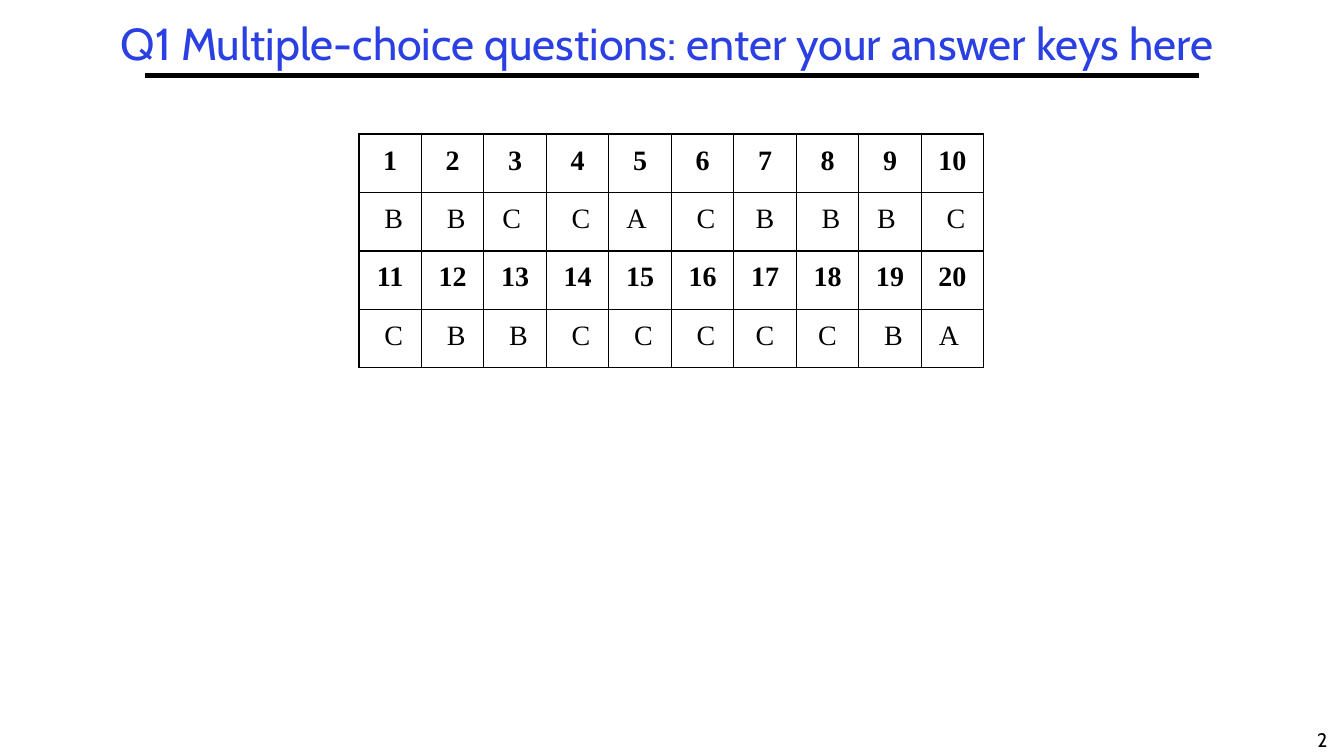
from dataclasses import dataclass

from lxml import etree
from pptx import Presentation
from pptx import util as u
from pptx.dml.color import RGBColor
from pptx.enum import shapes, text
from pptx.oxml import ns

BLACK, BLUE = "000000", "2A40E2"
COL_W, ROW_H = 0.62, 0.58
NBSP = chr(160)


@dataclass
class Label:
    words: str
    left: float
    top: float
    width: float
    height: float
    size: float
    color: str
    anchor: text.MSO_ANCHOR
    wrap: bool
    spacing: float


@dataclass
class AnswerRow:
    entries: list[str]
    bold: bool


def rgb(value: str) -> RGBColor:
    return RGBColor.from_string(value)


def add_run(p, words: str, size: float, font: str, color: str, bold: bool = False) -> None:
    p.alignment = text.PP_ALIGN.CENTER
    r = p.add_run()
    r.text = words
    r.font.size = u.Pt(size)
    r.font.name = font
    r.font.bold = bold
    r.font.color.rgb = rgb(color)


def add_label(s, label: Label) -> None:
    box = s.shapes.add_textbox(u.Inches(label.left), u.Inches(label.top),
                               u.Inches(label.width), u.Inches(label.height))
    tf = box.text_frame
    tf.word_wrap = label.wrap
    tf.vertical_anchor = label.anchor
    p = tf.paragraphs[0]
    p.line_spacing = label.spacing
    add_run(p, label.words, label.size, "Cabin", label.color)


def add_rule(s, x1: float, x2: float, y: float) -> None:
    line = s.shapes.add_connector(shapes.MSO_CONNECTOR.STRAIGHT, u.Inches(x1), u.Inches(y),
                                  u.Inches(x2), u.Inches(y))
    line.line.color.rgb = rgb(BLACK)
    line.line.width = u.Pt(3)
    etree.SubElement(line._element.spPr, ns.qn("a:effectLst"))


def add_borders(cell, color: str, width: float) -> None:
    tc_pr = cell._tc.get_or_add_tcPr()
    for i, side in enumerate(("lnL", "lnR", "lnT", "lnB")):
        ln = etree.Element(ns.qn(f"a:{side}"), w=str(u.Pt(width)))
        fill = etree.SubElement(ln, ns.qn("a:solidFill"))
        etree.SubElement(fill, ns.qn("a:srgbClr"), val=color)
        tc_pr.insert(i, ln)


def fill_cell(cell, words: str, bold: bool) -> None:
    cell.fill.background()
    cell.margin_left = cell.margin_right = u.Inches(0.07)
    cell.margin_top = cell.margin_bottom = 0
    p = cell.text_frame.paragraphs[0]
    p.line_spacing = u.Pt(30)
    p.space_after = u.Pt(3.6)
    add_run(p, words, 20, "Times New Roman", BLACK, bold)
    add_borders(cell, BLACK, 1)


def add_answers(s, rows: list[AnswerRow], left: float, top: float) -> None:
    n_cols = len(rows[0].entries)
    table = s.shapes.add_table(len(rows), n_cols, u.Inches(left), u.Inches(top),
                               u.Inches(n_cols * COL_W), u.Inches(len(rows) * ROW_H)).table
    table.first_row = table.horz_banding = False
    for col in table.columns:
        col.width = u.Inches(COL_W)
    for i, row in enumerate(rows):
        table.rows[i].height = u.Inches(ROW_H)
        for j, entry in enumerate(row.entries):
            fill_cell(table.cell(i, j), entry, row.bold)


def numbers(first: int) -> AnswerRow:
    return AnswerRow([str(n) for n in range(first, first + 10)], True)


def answers(keys: str) -> AnswerRow:
    """Split the keys; ~ stands for a no-break space."""
    return AnswerRow([key.replace("~", NBSP) for key in keys.split()], False)


def main() -> None:
    prs = Presentation()
    prs.slide_width, prs.slide_height = u.Inches(13.33), u.Inches(7.5)
    s = prs.slides.add_slide(prs.slide_layouts[6])

    # Slide number, title and the rule under it
    add_label(s, Label("2", 12.9, 7.17, 0.43, 0.33, 14, BLACK,
                       text.MSO_ANCHOR.TOP, False, 1.0))
    add_rule(s, 1.44, 11.89, 0.75)
    add_label(s, Label("Q1 Multiple-choice questions: enter your answer keys here",
                       0.83, 0.17, 11.58, 0.58, 32, BLUE, text.MSO_ANCHOR.MIDDLE, True, 0.9))

    # Answer table
    add_answers(s, [
        numbers(1), answers("~B ~B C~ ~C A~ ~C B ~B B~ ~C"),
        numbers(11), answers("~C ~B ~B ~C ~C ~C C C ~B A~"),
    ], 3.56, 1.33)

    prs.save("out.pptx")


if __name__ == "__main__":
    main()
